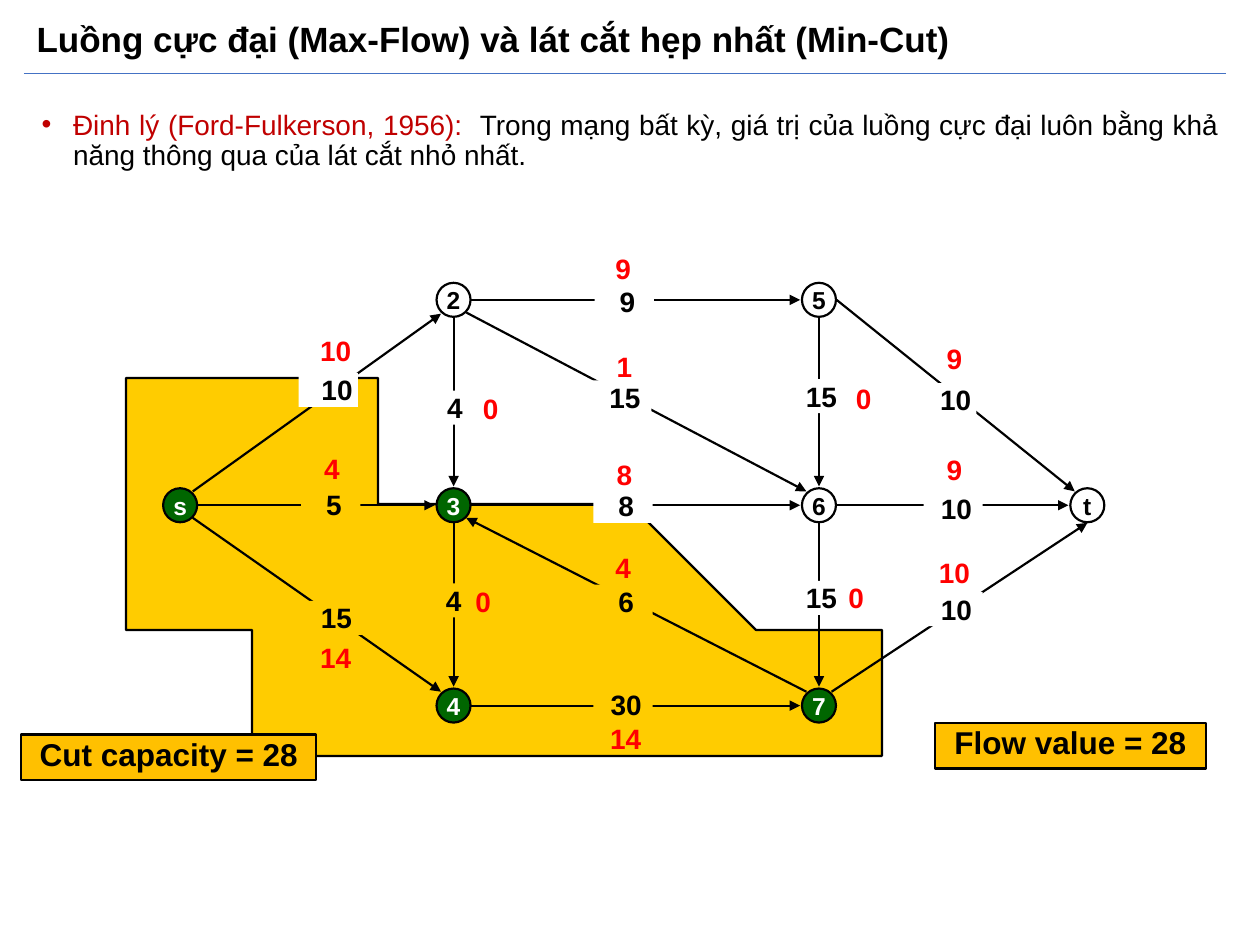
from lxml import etree
from pptx import Presentation
from pptx.dml.color import RGBColor
from pptx.enum.shapes import MSO_CONNECTOR, MSO_SHAPE
from pptx.enum.text import MSO_ANCHOR, PP_ALIGN
from pptx.oxml.ns import qn
from pptx.util import Inches, Pt

LINE = MSO_CONNECTOR.STRAIGHT
RECT, OVAL = MSO_SHAPE.RECTANGLE, MSO_SHAPE.OVAL
MIDDLE = MSO_ANCHOR.MIDDLE
LEFT, CENTER, JUSTIFY = PP_ALIGN.LEFT, PP_ALIGN.CENTER, PP_ALIGN.JUSTIFY

BLACK, WHITE, RED = "000000", "FFFFFF", "FF0000"
GREEN, GOLD, AMBER = "006600", "FFCC00", "FFC000"
rgb = RGBColor.from_string

prs = Presentation()
prs.slide_width, prs.slide_height = Inches(10), Inches(7.5)
slide = prs.slides.add_slide(prs.slide_layouts[1])
shapes = slide.shapes


def write(shape, text, size, color, indent=0):
    """Put centred bold text without insets, pushed right by the indent."""
    frame = shape.text_frame
    frame.word_wrap = True
    frame.margin_left = Inches(indent)
    frame.margin_top = frame.margin_right = frame.margin_bottom = 0
    frame.vertical_anchor = MSO_ANCHOR.TOP
    para = frame.paragraphs[0]
    para.text = text
    para.alignment = CENTER
    font = para.font
    font.name, font.size, font.bold = "Arial", Pt(size), True
    font.color.rgb = rgb(color)


def draw_line(x1, y1, x2, y2, color, width):
    line = shapes.add_connector(LINE, Inches(x1), Inches(y1), Inches(x2), Inches(y2))
    line.line.color.rgb = rgb(color)
    line.line.width = Pt(width)
    etree.SubElement(line._element.spPr, qn("a:effectLst"))
    return line


# Title and theorem
title = shapes.title
title.left, title.top = Inches(0.19), Inches(0.08)
title.width, title.height = Inches(8.62), Inches(0.5)
title.text_frame.vertical_anchor = MIDDLE
para = title.text_frame.paragraphs[0]
para.text = "Luồng cực đại (Max-Flow) và lát cắt hẹp nhất (Min-Cut)"
para.alignment, para.line_spacing = LEFT, 0.9
para.font.name, para.font.size, para.font.bold = "Arial", Pt(20), True
para.font.color.rgb = rgb(BLACK)

draw_line(0.19, 0.58, 9.73, 0.58, "4472C4", 0.5)

body = slide.placeholders[1]
body.left, body.top = Inches(0.23), Inches(0.83)
body.width, body.height = Inches(9.54), Inches(3.39)
para = body.text_frame.paragraphs[0]
para.alignment, para.line_spacing, para.space_before = JUSTIFY, 0.9, Pt(10)
para.font.name, para.font.size = "Arial", Pt(16)
props = para._p.get_or_add_pPr()
props.set("marL", str(Inches(0.25)))
props.set("indent", str(Inches(-0.25)))
for words, color in [
    ("Đinh lý (Ford-Fulkerson, 1956):  ", "C00000"),
    ("Trong mạng bất kỳ, giá trị của luồng cực đại luôn bằng khả năng "
     "thông qua của lát cắt nhỏ nhất.", BLACK),
]:
    run = para.add_run()
    run.text = words
    run.font.color.rgb = rgb(color)

# Region on the source side of the cut
outline = [
    (7.1, 5.72), (6.96, 5.55), (6.88, 5.44), (6.8, 5.28), (6.69, 5.16), (6.6, 5.09),
    (6.49, 5.05), (6.27, 4.98), (5.99, 4.92), (5.82, 4.86), (5.63, 4.65),
    (5.37, 4.48), (5.2, 4.38), (5.02, 4.3), (4.8, 4.23), (4.49, 4.11), (4.4, 4.05),
    (4.27, 3.96), (4.06, 3.82), (3.93, 3.73), (3.73, 3.64), (3.62, 3.6),
    (3.53, 3.57), (3.46, 3.51), (3.38, 3.48), (3.18, 3.48), (2.44, 3.44),
    (2.08, 3.38), (1.62, 3.38), (1.4, 3.4), (1.22, 3.45), (1.04, 3.6), (0.92, 3.78),
    (0.84, 3.92), (0.83, 4.17), (0.85, 4.4), (0.92, 4.56), (1.02, 4.67),
    (1.06, 4.68), (1.18, 4.82), (1.28, 4.95), (1.4, 5.05), (1.49, 5.11),
    (1.67, 5.26), (1.85, 5.42), (1.93, 5.48), (2.0, 5.55), (2.11, 5.61),
    (2.23, 5.7), (2.5, 5.76), (2.81, 5.81), (3.0, 5.83), (3.3, 5.91), (3.6, 5.96),
    (4.04, 5.98), (4.25, 6.0), (4.88, 6.01), (4.98, 6.03), (5.08, 6.09),
    (5.2, 6.12), (5.36, 6.14), (5.9, 6.14), (6.4, 6.12), (6.78, 6.04),
    (6.99, 5.94), (7.04, 5.9), (7.07, 5.83), (7.08, 5.77),
]
pen = shapes.build_freeform(*outline[0], scale=Inches(1))
pen.add_line_segments(outline[1:], close=True)
region = pen.convert_to_shape()
region.shadow.inherit = False
region.fill.solid()
region.fill.fore_color.rgb = rgb(GOLD)
region.line.color.rgb = rgb(BLACK)
region.line.width = Pt(1.25)

# Nodes, by centre
nodes = {
    "s": (1.43, 4.01), "2": (3.6, 2.38), "3": (3.6, 4.01), "4": (3.6, 5.6),
    "5": (6.5, 2.38), "6": (6.5, 4.01), "7": (6.5, 5.6), "t": (8.63, 4.01),
}
size = 0.27
for name, (x, y) in nodes.items():
    node = shapes.add_shape(OVAL, Inches(x - size / 2), Inches(y - size / 2),
                            Inches(size), Inches(size))
    node.shadow.inherit = False
    node.line.color.rgb = rgb(BLACK)
    node.line.width = Pt(1.25)
    inside = name in "s347"
    if inside:
        node.fill.solid()
        node.fill.fore_color.rgb = rgb(GREEN)
    else:
        node.fill.background()
    write(node, name, 14, WHITE if inside else BLACK)
    node.text_frame.word_wrap = False
    node.text_frame.vertical_anchor = MIDDLE

# Edges: node and side left, node and side reached
sides = {
    "n": (0, -0.15), "s": (0, 0.14), "e": (0.14, 0), "w": (-0.15, 0),
    "ne": (0.1, -0.11), "nw": (-0.1, -0.11), "se": (0.1, 0.1), "sw": (-0.1, 0.11),
}
for edge in [
    "s ne 2 sw", "s e 3 w", "s se 4 nw", "3 e 6 w", "7 nw 3 se", "3 s 4 n",
    "2 e 5 w", "4 e 7 w", "2 s 3 n", "6 s 7 n", "5 s 6 n", "2 se 6 nw",
    "5 e t nw", "6 e t w", "7 ne t s",
]:
    tail, out, head, into = edge.split()
    (x1, y1), (dx1, dy1) = nodes[tail], sides[out]
    (x2, y2), (dx2, dy2) = nodes[head], sides[into]
    arrow = draw_line(x1 + dx1, y1 + dy1, x2 + dx2, y2 + dy2, BLACK, 1.25)
    etree.SubElement(arrow.line._get_or_add_ln(), qn("a:tailEnd"), type="triangle")

# Capacities: text, left, top, fill, indent
for text, x, y, fill, indent in [
    ("15", 2.41, 4.77, GOLD, 0.05), ("5", 2.39, 3.87, GOLD, 0.05),
    ("30", 4.71, 5.46, GOLD, 0.05), ("15", 6.26, 4.61, WHITE, 0.05),
    ("10", 2.37, 2.96, WHITE, 0.14), ("8", 4.71, 3.88, WHITE, 0.05),
    ("15", 4.7, 3.02, WHITE, 0.05), ("9", 4.72, 2.26, WHITE, 0.05),
    ("6", 4.71, 4.64, GOLD, 0.05), ("10", 7.33, 4.7, WHITE, 0.05),
    ("10", 7.33, 3.9, WHITE, 0.05), ("10", 7.28, 3.04, WHITE, 0.14),
    ("15", 6.26, 3.01, WHITE, 0.05), ("4", 3.35, 3.1, WHITE, 0.05),
    ("4", 3.34, 4.63, GOLD, 0.05),
]:
    label = shapes.add_shape(RECT, Inches(x), Inches(y), Inches(0.47), Inches(0.27))
    label.shadow.inherit = False
    label.fill.solid()
    label.fill.fore_color.rgb = rgb(fill)
    label.line.fill.background()
    write(label, text, 16, BLACK, indent)

# Flows: text, left, top
for text, x, y in [
    ("10", 2.48, 2.65), ("9", 4.76, 2), ("9", 7.39, 2.71), ("14", 2.48, 5.08),
    ("14", 4.78, 5.73), ("4", 4.76, 4.37), ("10", 7.39, 4.41), ("4", 2.45, 3.58),
    ("8", 4.77, 3.63), ("9", 7.39, 3.59), ("1", 4.77, 2.77), ("0", 3.71, 3.11),
    ("0", 6.67, 3.03), ("0", 6.61, 4.61), ("0", 3.65, 4.64),
]:
    flow = shapes.add_textbox(Inches(x), Inches(y), Inches(0.37), Inches(0.19))
    write(flow, text, 16, RED)

# Totals
for text, x, y, width in [
    ("Flow value = 28", 7.42, 5.74, 2.15), ("Cut capacity = 28", 0.17, 5.83, 2.34),
]:
    box = shapes.add_shape(RECT, Inches(x), Inches(y), Inches(width), Inches(0.36))
    box.shadow.inherit = False
    box.fill.solid()
    box.fill.fore_color.rgb = rgb(AMBER)
    box.line.color.rgb = rgb(BLACK)
    box.line.width = Pt(1.25)
    write(box, text, 18, BLACK)

prs.save("out.pptx")
